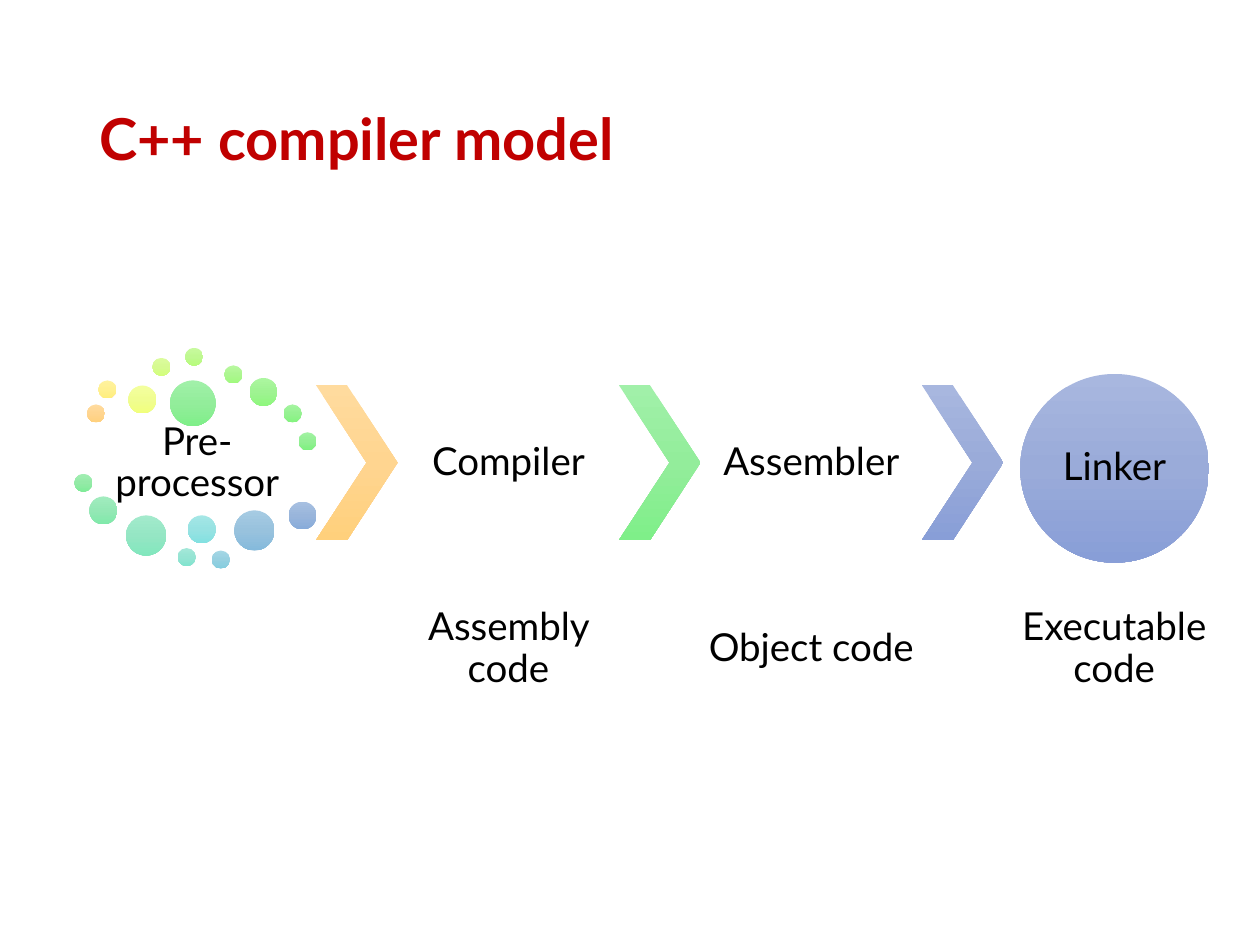
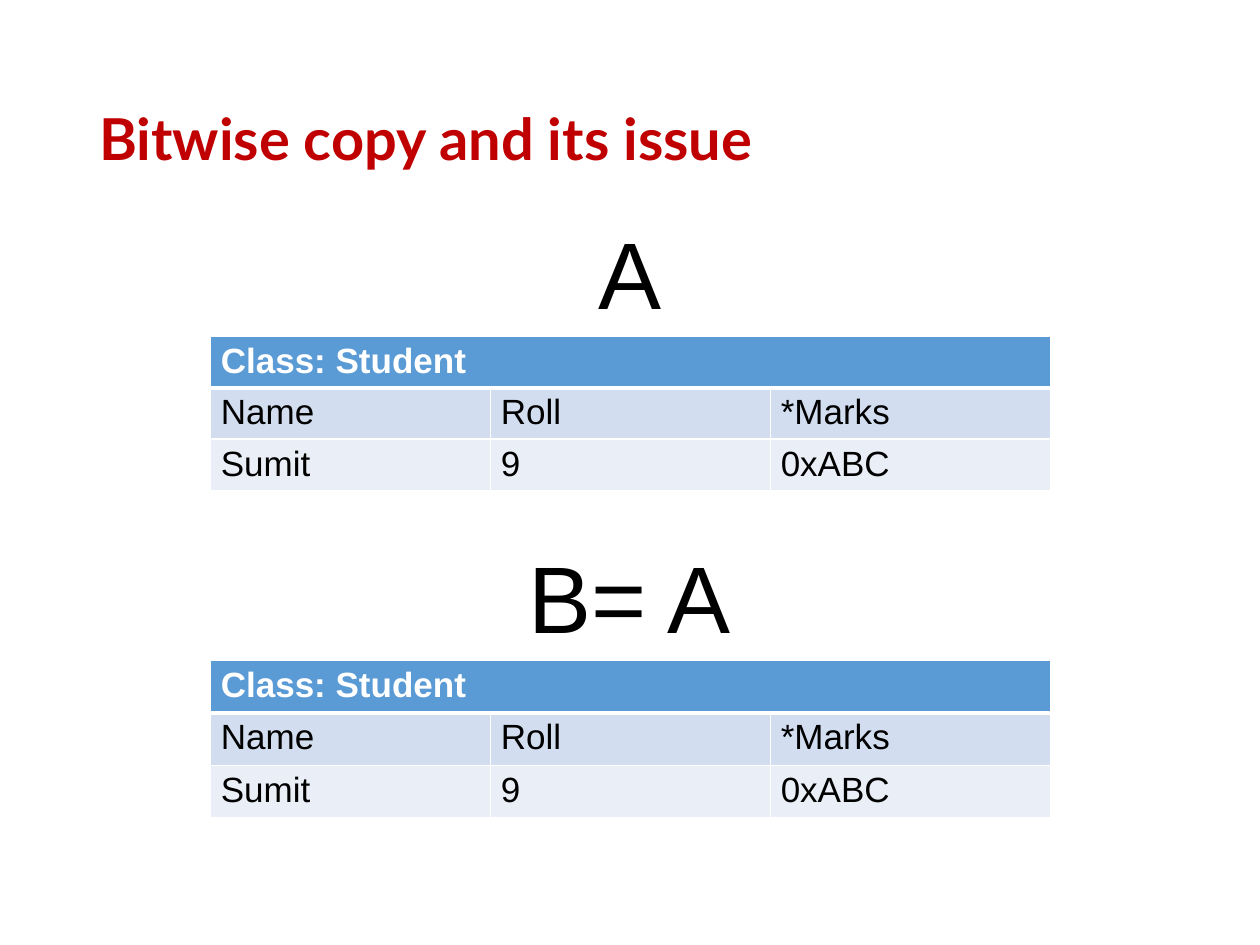
from copy import deepcopy
from dataclasses import dataclass

from lxml import etree
from pptx import Presentation
from pptx.dml.color import RGBColor
from pptx.enum.shapes import MSO_SHAPE
from pptx.enum.text import MSO_ANCHOR, MSO_AUTO_SIZE, PP_ALIGN
from pptx.oxml.ns import qn
from pptx.util import Pt

OVAL = MSO_SHAPE.OVAL
CHEVRON = MSO_SHAPE.CHEVRON
MIDDLE = MSO_ANCHOR.MIDDLE
LEFT = PP_ALIGN.LEFT
CENTER = PP_ALIGN.CENTER
NO_AUTOFIT = MSO_AUTO_SIZE.NONE
TITLE_ONLY = 5


@dataclass(frozen=True)
class Theme:
    """Colours, fonts and type sizes shared by the slides."""

    title: str = "C00000"
    ink: str = "000000"
    paper: str = "FFFFFF"
    header: str = "5B9BD5"
    field: str = "D2DEEF"
    value: str = "EAEFF7"
    orange: tuple = ("FFDB9E", "FFD590", "FFD07C")
    green: tuple = ("A1F0A9", "93ED9B", "7FEF89")
    blue: tuple = ("A8B7DF", "9AABD9", "889ED7")
    flow_font: str = "Lato"
    object_font: str = "Arial"
    title_size: int = 33
    stage_size: int = 22
    cell_size: int = 20
    object_size: int = 54


THEME = Theme()
SMALL, MEDIUM, LARGE, LARGEST = 10.3, 16, 23, 26
SOURCE_DOTS = [
    (49.7, 231.1, SMALL, THEME.orange),
    (56.2, 217.4, SMALL, ("FFF29E", "FFF091", "FFEE7C")),
    (73.4, 220.3, MEDIUM, ("F3FF9E", "F0FD91", "F1FF7C")),
    (87.1, 204.5, SMALL, ("DCFC9F", "D6FA91", "D3FF7C")),
    (105.8, 198.7, SMALL, ("C8FA9F", "BFF891", "B7FC7C")),
    (128.2, 208.8, SMALL, ("B8F89F", "ADF691", "A0FA7D")),
    (142.6, 216, MEDIUM, ("ACF6A0", "9FF392", "8EF77D")),
    (162, 231.1, SMALL, ("A4F4A0", "96F192", "83F47E")),
    (170.6, 247, SMALL, ("A1F2A2", "93EF94", "7EF17F")),
    (97.2, 217.4, LARGEST, THEME.green),
    (42.5, 270.7, SMALL, ("A2EEB3", "94EAA7", "7FEC98")),
    (51.1, 283.7, MEDIUM, ("A2ECBF", "94E8B5", "80E9AA")),
    (72, 294.5, LARGE, ("A3EACC", "95E6C4", "81E7BD")),
    (101.5, 313.2, SMALL, ("A4E8D9", "96E4D3", "82E4CF")),
    (107.3, 294.5, MEDIUM, ("A5E7E6", "97E2E2", "83E1E1")),
    (121, 314.6, SMALL, ("A5D7E5", "97D0E0", "84CDDF")),
    (133.9, 291.6, LARGE, ("A6CBE3", "98C2DD", "85BADC")),
    (164.9, 286.6, MEDIUM, ("A7C0E1", "99B5DB", "87ABDA")),
]
STAGE_PITCH = 173.1
STAGE_WIDTH = 126.4
STUDENT_ROWS = [
    (["Class: Student", "", ""], THEME.header, THEME.paper),
    (["Name", "Roll", "*Marks"], THEME.field, THEME.ink),
    (["Sumit", "9", "0xABC"], THEME.value, THEME.ink),
]


def box(left, top, width, height):
    """Return a position and size as lengths in points."""
    return Pt(left), Pt(top), Pt(width), Pt(height)


def style_text(frame, font, size, color, bold=False, align=LEFT):
    """Format every run of a text frame."""
    for paragraph in frame.paragraphs:
        paragraph.alignment = align
        for run in paragraph.runs:
            run.font.name = font
            run.font.size = Pt(size)
            run.font.bold = bold
            run.font.color.rgb = RGBColor.from_string(color)


def set_insets(frame, inset):
    """Give a text frame the same margin on each side."""
    frame.margin_left = frame.margin_right = Pt(inset)
    frame.margin_top = frame.margin_bottom = Pt(inset)


def add_titled_slide(deck, heading):
    """Add a slide with the shared title style."""
    slide = deck.slides.add_slide(deck.slide_layouts[TITLE_ONLY])
    title = slide.shapes.title
    title.left, title.top, title.width, title.height = box(49.5, 28.75, 621, 104.4)
    frame = title.text_frame
    frame.text = heading
    frame.word_wrap = True
    frame.auto_size = NO_AUTOFIT
    frame.vertical_anchor = MIDDLE
    frame.paragraphs[0].line_spacing = 0.9
    style_text(frame, THEME.flow_font, THEME.title_size, THEME.title, bold=True)
    return slide


def add_stage_text(slide, words, place, inset=2.2):
    """Add the centred name of a stage or of its output."""
    frame = slide.shapes.add_textbox(*box(*place)).text_frame
    frame.text = words
    frame.word_wrap = True
    frame.vertical_anchor = MIDDLE
    set_insets(frame, inset)
    frame.paragraphs[0].line_spacing = 0.9
    style_text(frame, THEME.flow_font, THEME.stage_size, THEME.ink, align=CENTER)


def add_gradient_shape(slide, outline, place, shades):
    """Add a borderless shape shaded from top to bottom in three steps."""
    shape = slide.shapes.add_shape(outline, *box(*place))
    shape.shadow.inherit = False
    shape.line.fill.background()
    shape.fill.gradient()
    shape.fill.gradient_angle = 270
    first_stop = shape._element.spPr.find(f".//{qn('a:gs')}")
    middle_stop = deepcopy(first_stop)
    middle_stop.set("pos", "50000")
    first_stop.addnext(middle_stop)
    for stop, shade in zip(shape.fill.gradient_stops, shades):
        stop.color.rgb = RGBColor.from_string(shade)
    return shape


def set_borders(cell, top, bottom):
    """Draw the cell's borders, with thin sides."""
    properties = cell._tc.get_or_add_tcPr()
    for side, weight in (("L", 1), ("R", 1), ("T", top), ("B", bottom)):
        border = etree.SubElement(properties, qn(f"a:ln{side}"), w=str(Pt(weight)))
        paint = etree.SubElement(border, qn("a:solidFill"))
        etree.SubElement(paint, qn("a:srgbClr"), val=THEME.paper)


def add_student_table(slide, top):
    """Add the table of a student object's fields and values."""
    place = box(120.2, top, 480, 88)
    table = slide.shapes.add_table(len(STUDENT_ROWS), 3, *place).table
    table.horz_banding = False
    for row, (words, fill, ink) in enumerate(STUDENT_ROWS):
        table.rows[row].height = Pt(29.3)
        for column, word in enumerate(words):
            cell = table.cell(row, column)
            cell.text = word
            cell.margin_left = cell.margin_right = Pt(6)
            cell.margin_top = cell.margin_bottom = Pt(3)
            set_borders(cell, 3 if row == 1 else 1, 3 if row == 0 else 1)
            cell.fill.solid()
            cell.fill.fore_color.rgb = RGBColor.from_string(fill)
            style_text(cell.text_frame, THEME.object_font, THEME.cell_size, ink,
                       bold=row == 0)
    table.cell(0, 0).merge(table.cell(0, 2))


def add_object_name(slide, name, top, width):
    """Add the large name above a student table."""
    place = box(360 - width / 2, top, width, 72.7)
    frame = slide.shapes.add_textbox(*place).text_frame
    frame.text = name
    frame.word_wrap = False
    style_text(frame, THEME.object_font, THEME.object_size, THEME.ink, align=CENTER)


def build_compiler_model(deck):
    """Build the slide on the stages of compilation."""
    slide = add_titled_slide(deck, "C++ compiler model")
    add_stage_text(slide, "Pre-processor", (49.5, 244, STAGE_WIDTH, 41.8))
    for left, top, size, shades in SOURCE_DOTS:
        add_gradient_shape(slide, OVAL, (left, top, size, size), shades)
    for step, shades in enumerate((THEME.orange, THEME.green, THEME.blue)):
        place = (180.6 + step * STAGE_PITCH, 220.1, 46.6, 88.6)
        add_gradient_shape(slide, CHEVRON, place, shades).adjustments[0] = 0.62
    add_gradient_shape(slide, OVAL, (583, 213.7, 107.8, 107.8), THEME.blue)
    add_stage_text(slide, "Linker", (598.8, 229.5, 76.2, 76.2), inset=0)
    for step, stage in enumerate(("Compiler", "Assembler")):
        left = 227.3 + step * STAGE_PITCH
        add_stage_text(slide, stage, (left, 220.1, STAGE_WIDTH, 88.6))
    for step, output in enumerate(("Assembly code", "Object code", "Executable code")):
        left = 227.3 + step * STAGE_PITCH
        add_stage_text(slide, output, (left, 332, STAGE_WIDTH, 77.8))


def build_bitwise_copy(deck):
    """Build the slide on two objects that share a pointer."""
    slide = add_titled_slide(deck, "Bitwise copy and its issue")
    for step, (name, width) in enumerate((("A", 51), ("B= A", 131))):
        offset = step * 185.1
        add_student_table(slide, 192.4 + offset)
        add_object_name(slide, name, 119.6 + offset, width)


def main():
    """Build and save the presentation."""
    deck = Presentation()
    deck.slide_width, deck.slide_height = Pt(720), Pt(540)
    build_compiler_model(deck)
    build_bitwise_copy(deck)
    deck.save("out.pptx")


if __name__ == "__main__":
    main()
